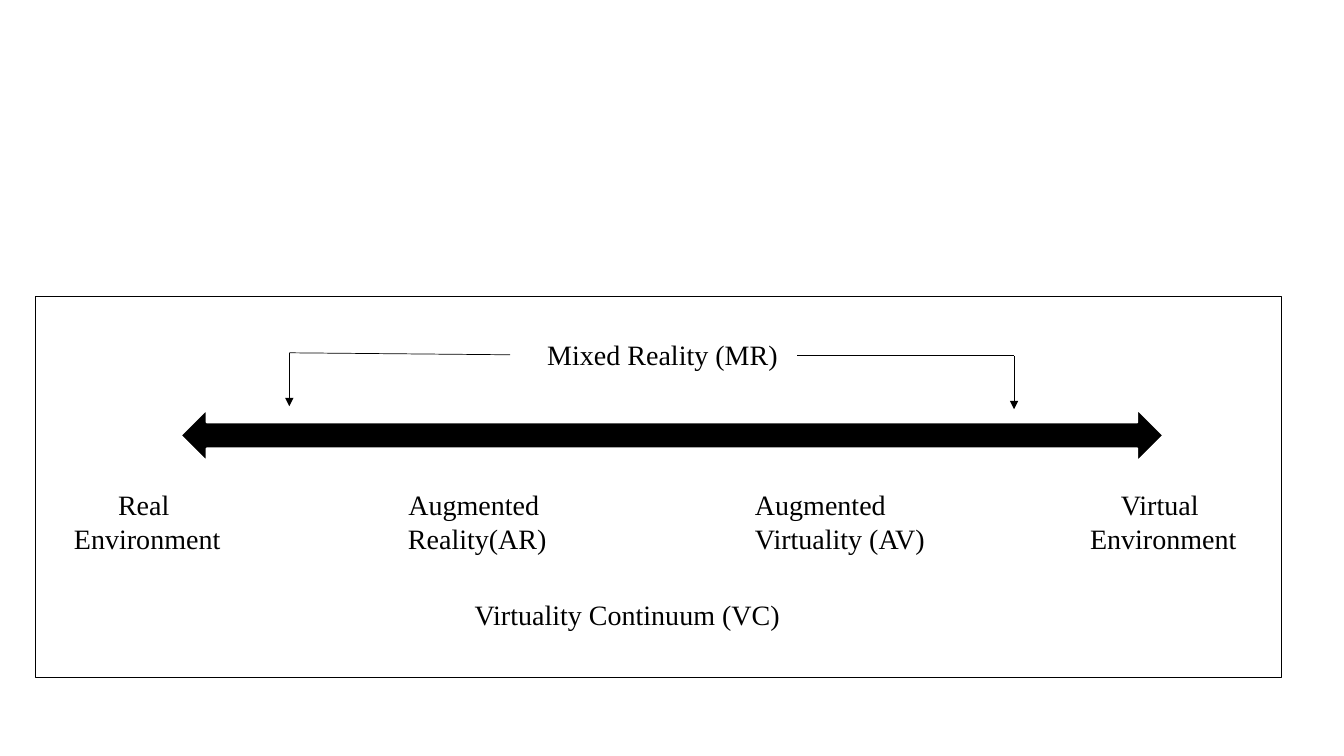
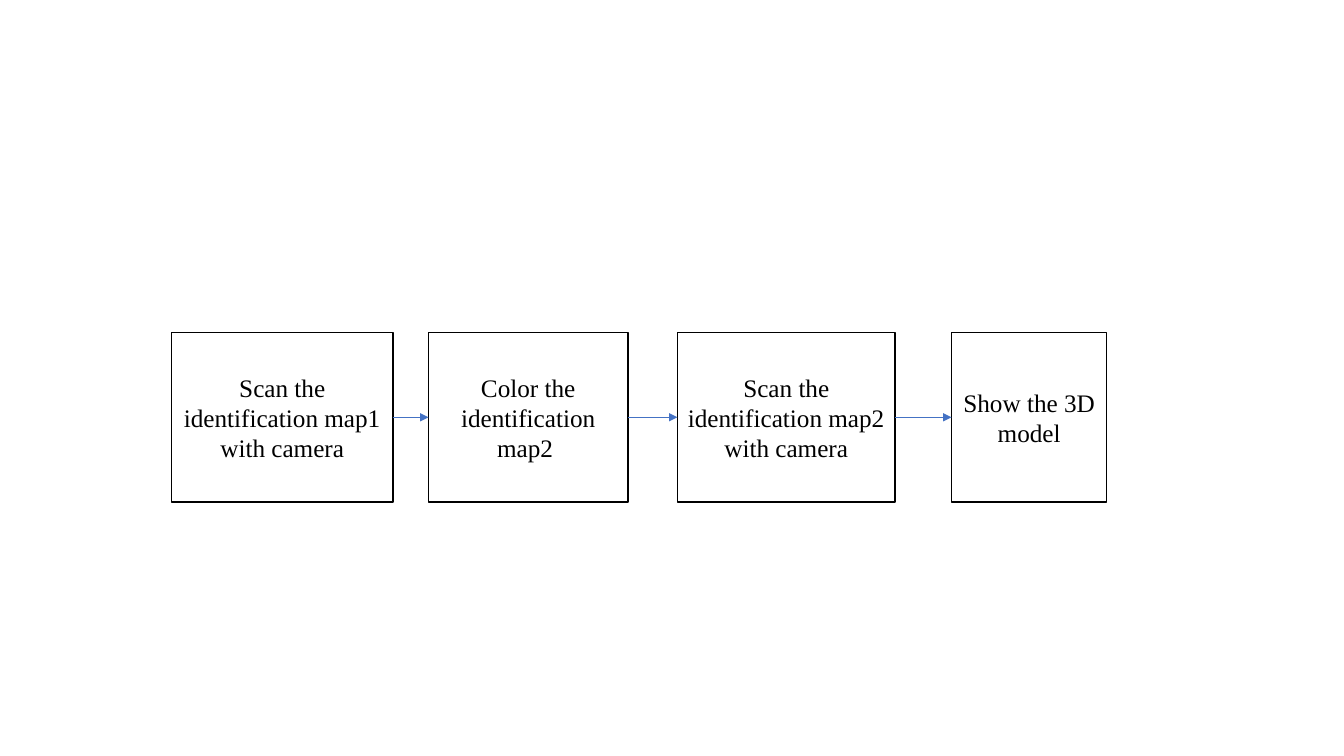
"""Build two diagram slides: the virtuality continuum and the scanning steps."""
from itertools import pairwise

from lxml import etree
from pptx import Presentation
from pptx.dml.color import RGBColor
from pptx.enum.shapes import MSO_CONNECTOR, MSO_SHAPE
from pptx.enum.text import MSO_ANCHOR, MSO_AUTO_SIZE, PP_ALIGN
from pptx.oxml.ns import qn
from pptx.util import Inches, Pt

STRAIGHT = MSO_CONNECTOR.STRAIGHT
RECTANGLE, DOUBLE_ARROW = MSO_SHAPE.RECTANGLE, MSO_SHAPE.LEFT_RIGHT_ARROW
LEFT, CENTER = PP_ALIGN.LEFT, PP_ALIGN.CENTER
MIDDLE, TOP = MSO_ANCHOR.MIDDLE, MSO_ANCHOR.TOP
GROW = MSO_AUTO_SIZE.SHAPE_TO_FIT_TEXT
BLANK_LAYOUT = 6
WIDTH, HEIGHT = Inches(13.33), Inches(7.5)
BLACK, WHITE, BLUE = "000000", "FFFFFF", "4472C4"
FONT = "Times New Roman"
LABEL_SIZE, STEP_SIZE = 20, 18
THIN = 0.5

LABEL_TOP, LABEL_HEIGHT, LINE_HEIGHT = 63.87, 10.27, 5.87
STAGES = [
    (4.73, 12.45, ["Real ", "Environment"], CENTER),
    (29.55, 11.93, ["Augmented ", "Reality(AR)"], CENTER),
    (55.43, 14.25, ["Augmented", "Virtuality (AV)"], LEFT),
    (80.33, 12.45, ["Virtual ", "Environment"], CENTER),
]
BRACKETS = [
    ((37.95, 46.93), (21.53, 46.67), 53.73),
    ((59.33, 47.07), (75.45, 47.07), 54.13),
]
STEP_TOP, STEP_HEIGHT = 44, 22.4
STEPS = [
    (12.75, 16.5, "Scan the identification map1 with camera"),
    (31.88, 14.85, "Color the identification map2 "),
    (50.4, 16.2, "Scan the identification map2 with camera"),
    (70.8, 11.55, "Show the 3D model"),
]


def color(value):
    """Turn a hex string into a colour."""
    return RGBColor.from_string(value)


def place(x, y):
    """Turn percentages of the slide's width and height into lengths."""
    return round(WIDTH * x / 100), round(HEIGHT * y / 100)


def apply(target, formats):
    """Set every attribute named in a dict of format values."""
    for name, value in formats.items():
        setattr(target, name, value)


def write(frame, lines, size, align, formats):
    """Fill a text frame with one paragraph per line."""
    apply(frame, formats)
    for index, line in enumerate(lines):
        para = frame.add_paragraph() if index else frame.paragraphs[0]
        para.alignment = align
        span = para.add_run()
        span.text = line
        apply(span.font, {"name": FONT, "size": Pt(size)})
        span.font.color.rgb = color(BLACK)


def add_block(page, kind, corner, extent, fill, outline, weight=1):
    """Add a flat preset shape."""
    block = page.shapes.add_shape(kind, *place(*corner), *place(*extent))
    block.shadow.inherit = False
    block.fill.solid()
    block.fill.fore_color.rgb = color(fill)
    block.line.color.rgb = color(outline)
    block.line.width = Pt(weight)
    return block


def add_label(page, corner, extent, lines, align=LEFT, wrap=False):
    """Add a text box that grows with its text."""
    box = page.shapes.add_textbox(*place(*corner), *place(*extent))
    formats = {"word_wrap": wrap, "auto_size": GROW, "vertical_anchor": TOP}
    write(box.text_frame, lines, LABEL_SIZE, align, formats)


def add_line(page, start, end, stroke, arrow=False):
    """Add a thin line, with an arrowhead at its end if asked."""
    line = page.shapes.add_connector(STRAIGHT, *place(*start), *place(*end))
    line.line.color.rgb = color(stroke)
    line.line.width = Pt(THIN)
    if arrow:
        outline = line.line._get_or_add_ln()
        etree.SubElement(outline, qn("a:tailEnd"), type="triangle")
    etree.SubElement(line._element.spPr, qn("a:effectLst"))


def build_continuum(page):
    """Draw the virtuality continuum with its four stages."""
    add_block(page, RECTANGLE, (2.63, 39.2), (92.7, 50.4), WHITE, BLACK)
    add_block(page, DOUBLE_ARROW, (13.43, 54.13), (73.13, 6.93),
              BLACK, WHITE, 1.5)
    for inner, outer, bottom in BRACKETS:
        add_line(page, inner, outer, BLACK)
        add_line(page, outer, (outer[0], bottom), BLACK, arrow=True)
    add_label(page, (39.98, 44), (18.75, LINE_HEIGHT), ["Mixed Reality (MR)"])
    for left, width, lines, align in STAGES:
        add_label(page, (left, LABEL_TOP), (width, LABEL_HEIGHT), lines, align)
    add_label(page, (34.58, 78.4), (36.83, LINE_HEIGHT),
              ["Virtuality Continuum (VC)"], wrap=True)


def build_steps(page):
    """Draw the row of steps joined by arrows."""
    formats = {"word_wrap": True, "vertical_anchor": MIDDLE}
    for left, width, text in STEPS:
        block = add_block(page, RECTANGLE, (left, STEP_TOP),
                          (width, STEP_HEIGHT), WHITE, BLACK)
        write(block.text_frame, [text], STEP_SIZE, CENTER, formats)
    center = STEP_TOP + STEP_HEIGHT / 2
    for (left, width, _), (following, _, _) in pairwise(STEPS):
        add_line(page, (left + width, center), (following, center),
                 BLUE, arrow=True)


def main():
    """Build and save the deck."""
    deck = Presentation()
    apply(deck, {"slide_width": WIDTH, "slide_height": HEIGHT})
    for build in (build_continuum, build_steps):
        build(deck.slides.add_slide(deck.slide_layouts[BLANK_LAYOUT]))
    deck.save("out.pptx")


main()
